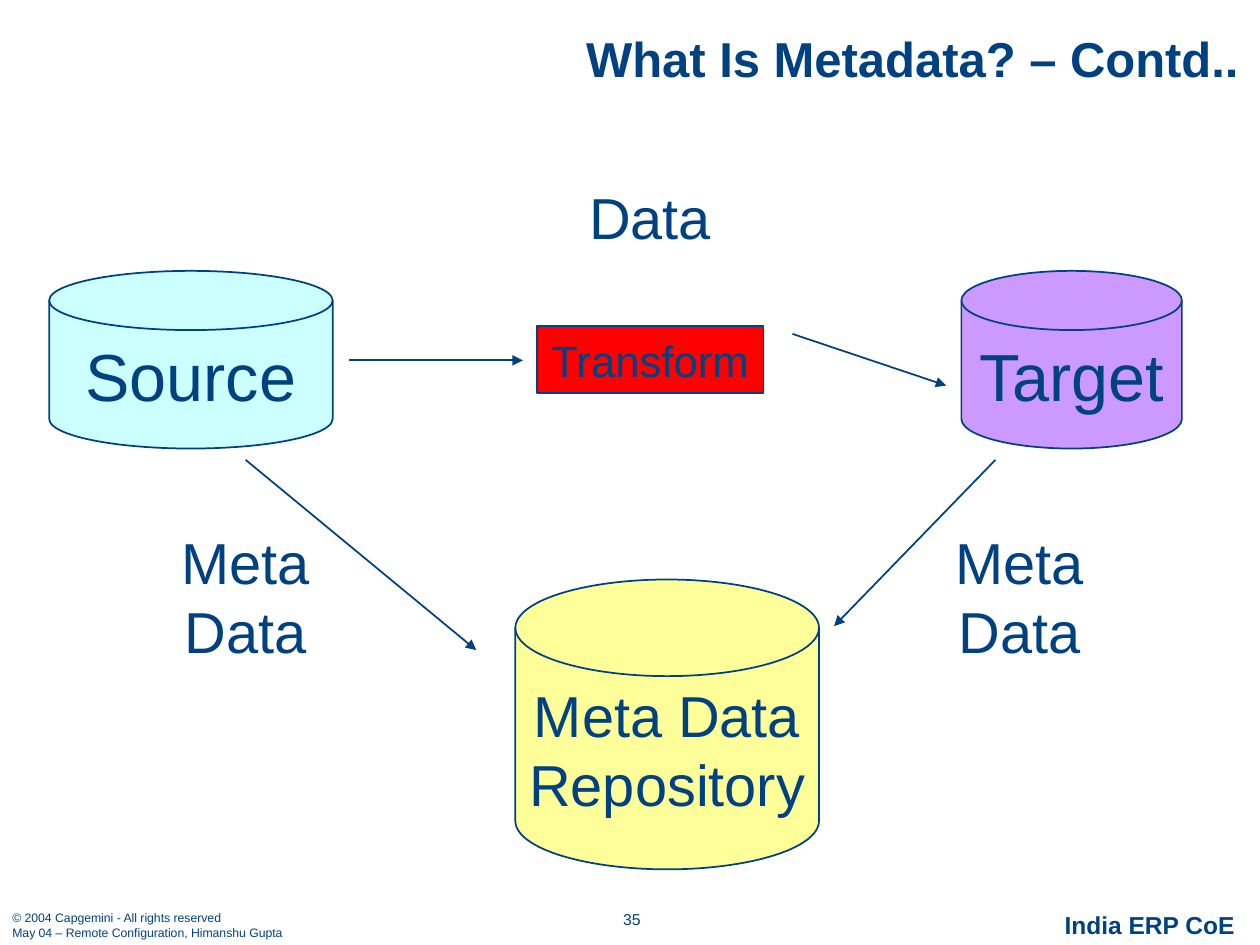
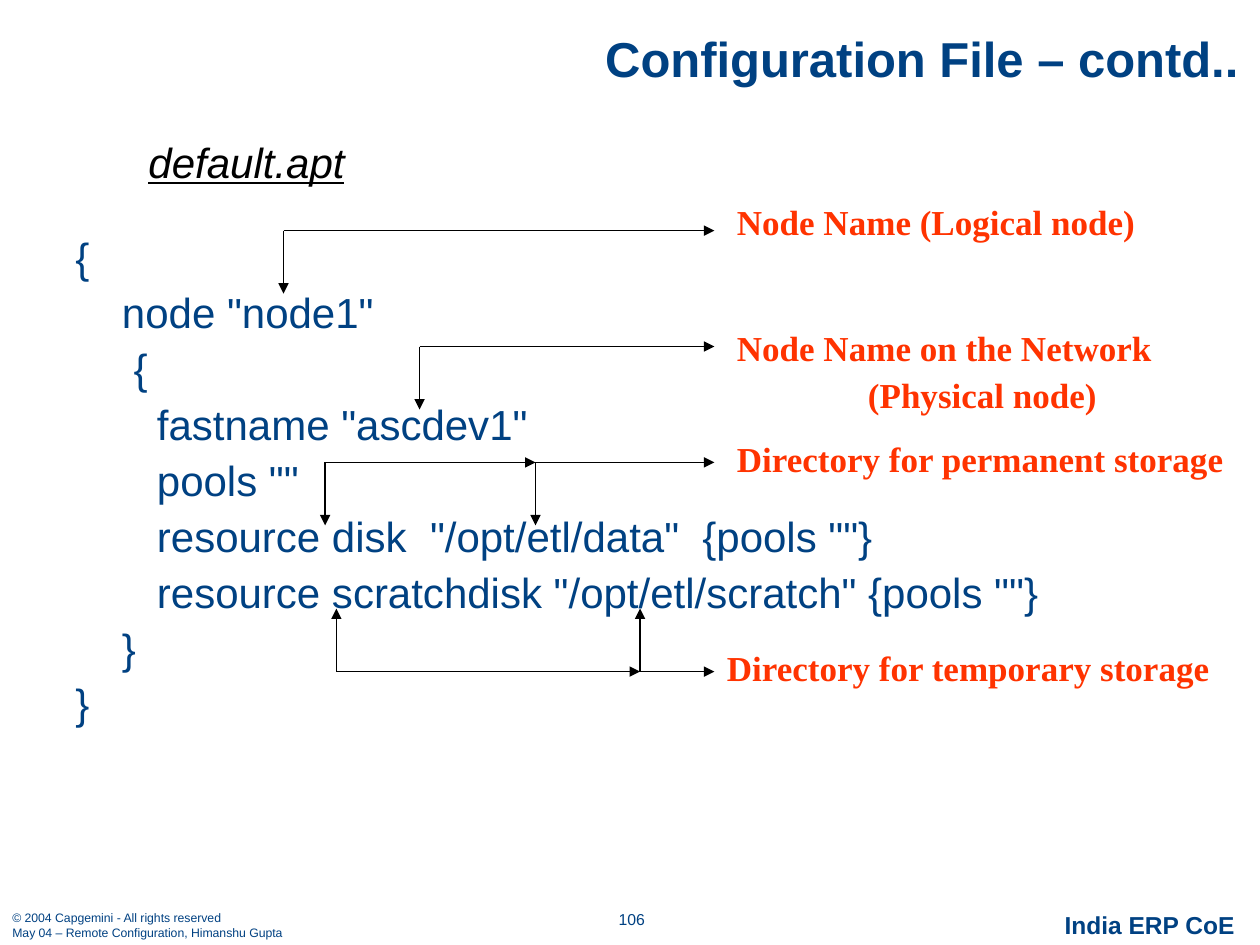
from lxml import etree
from pptx import Presentation
from pptx.dml.color import RGBColor
from pptx.enum import shapes, text
from pptx.oxml import ns
from pptx.util import Inches, Pt

# Shared colours, fonts and alignments
NAVY = RGBColor(0x00, 0x41, 0x82)
BLACK = RGBColor(0x00, 0x00, 0x00)
RED = RGBColor(0xFF, 0x00, 0x00)
ORANGE = RGBColor(0xFF, 0x33, 0x00)
AQUA = RGBColor(0xCC, 0xFF, 0xFF)
PURPLE = RGBColor(0xCC, 0x99, 0xFF)
YELLOW = RGBColor(0xFF, 0xFF, 0x99)
SANS, SERIF = "Arial", "Times New Roman"
LEFT, MID, RIGHT = (text.PP_ALIGN.LEFT, text.PP_ALIGN.CENTER,
                    text.PP_ALIGN.RIGHT)
DISK = shapes.MSO_SHAPE.FLOWCHART_MAGNETIC_DISK
RECT = shapes.MSO_SHAPE.RECTANGLE

CODE = '''{
    node "node1"
     {
       fastname "ascdev1"
       pools ""
       resource disk  "/opt/etl/data"  {pools ""}
       resource scratchdisk "/opt/etl/scratch" {pools ""}
    }
}'''
TIP = 5.67  # where the callout arrows end


def style(shape, words, size, color=NAVY, font=SANS, align=LEFT, bold=False,
          pad=(0.1, 0.05), middle=False, wrap=True, spacing=1.0, gap=0):
    """Fill a shape with text and format every run."""
    frame = shape.text_frame
    frame.text = words
    frame.word_wrap = wrap
    frame.auto_size = text.MSO_AUTO_SIZE.NONE
    frame.vertical_anchor = (text.MSO_ANCHOR.MIDDLE if middle
                             else text.MSO_ANCHOR.TOP)
    frame.margin_left = frame.margin_right = Inches(pad[0])
    frame.margin_top = frame.margin_bottom = Inches(pad[1])
    for i, para in enumerate(frame.paragraphs):
        para.alignment = align
        para.line_spacing = spacing
        para.space_before = Pt(gap if i else 0)
        for run in para.runs:
            run.font.name = font
            run.font.size = Pt(size)
            run.font.bold = bold
            run.font.color.rgb = color
    return frame


def label(slide, box, words, size, **look):
    """Place a text box."""
    shape = slide.shapes.add_textbox(*map(Inches, box))
    return style(shape, words, size, **look)


def block(slide, kind, box, fill, words, size, wrap=False):
    """Place a filled, outlined shape with centred text."""
    shape = slide.shapes.add_shape(kind, *map(Inches, box))
    shape.shadow.inherit = False
    shape.fill.solid()
    shape.fill.fore_color.rgb = fill
    shape.line.color.rgb = NAVY
    shape.line.width = Pt(1)
    style(shape, words, size, align=MID, pad=(0.11, 0.06), middle=True,
          wrap=wrap)


def arrow(slide, start, end, color=NAVY, width=1):
    """Draw a straight arrow from start to end."""
    line = slide.shapes.add_connector(
        shapes.MSO_CONNECTOR.STRAIGHT, *map(Inches, (*start, *end)))
    line.line.color.rgb = color
    line.line.width = Pt(width)
    etree.SubElement(line.line._get_or_add_ln(), ns.qn("a:tailEnd"),
                     type="triangle")
    etree.SubElement(line._element.spPr, ns.qn("a:effectLst"))


def branch(slide, feet, rail, code):
    """Run a rail to the callout, with an arrow from each foot to the code."""
    for foot, stop in zip(feet, feet[1:] + [TIP]):
        arrow(slide, (foot, rail), (foot, code), BLACK, 0.75)
        arrow(slide, (foot, rail), (stop, rail), BLACK, 0.75)


def callout(slide, box, words, spacing=1.0):
    """Place an orange serif note."""
    return label(slide, box, words, 20, color=ORANGE, font=SERIF, bold=True,
                 spacing=spacing, gap=5)


def page(deck, title, number):
    """Add a slide with the shared title and footer."""
    slide = deck.slides.add_slide(deck.slide_layouts.get_by_name("Title Only"))
    head = slide.shapes.title
    head.left, head.top, head.width, head.height = map(
        Inches, (2.4, 0, 7.55, 0.99))
    style(head, title, 28, align=RIGHT, bold=True, pad=(0.12, 0.04),
          middle=True, spacing=0.85)
    label(slide, (0, 7.18, 3.17, 0.32),
          "© 2004 Capgemini - All rights reserved\n"
          "May 04 – Remote Configuration, Himanshu Gupta", 7, middle=True)
    label(slide, (4.63, 7.19, 0.77, 0.23), number, 9, align=MID, spacing=0.85)
    label(slide, (5.38, 7.21, 4.62, 0.3), "India ERP CoE", 14, align=RIGHT,
          bold=True, pad=(0.2, 0.05), middle=True, spacing=0.85)
    return slide


def metadata(deck):
    slide = page(deck, "What Is Metadata? – Contd..", "35")
    # Stores and the transform step
    block(slide, DISK, (7.63, 2.15, 1.75, 1.41), PURPLE, "Target", 38)
    block(slide, DISK, (0.39, 2.15, 2.25, 1.41), AQUA, "Source", 38, wrap=True)
    block(slide, RECT, (4.26, 2.59, 1.8, 0.53), RED, "Transform", 25)
    block(slide, DISK, (4.09, 4.6, 2.41, 2.3), YELLOW,
          "Meta Data\nRepository", 33)
    # Flows
    for start, end in (((2.77, 2.86), (4.15, 2.86)),
                       ((6.29, 2.65), (7.51, 3.06)),
                       ((1.95, 3.65), (3.78, 5.16)),
                       ((7.9, 3.65), (6.62, 4.97))):
        arrow(slide, start, end)
    # Flow names
    for box, words in (((4.06, 1.38, 2.2, 0.66), "Data"),
                       ((7.08, 4.12, 2.02, 1.21), "Meta Data"),
                       ((0.94, 4.12, 2.02, 1.21), "Meta Data")):
        label(slide, box, words, 33, align=MID, pad=(0.11, 0.06))


def config(deck):
    slide = page(deck, "Configuration File – contd..", "106")
    # File name and its code
    label(slide, (0.5, 1.83, 9.08, 4.9), CODE, 24, spacing=0.9, gap=6)
    name = label(slide, (1.08, 1.08, 2.08, 0.46), "default.apt", 24,
                 color=BLACK, spacing=0.9)
    font = name.paragraphs[0].runs[0].font
    font.italic = font.underline = True
    # Arrows between code and notes
    branch(slide, [2.25], 1.83, 2.33)
    branch(slide, [3.33], 2.75, 3.25)
    branch(slide, [2.58, 4.25], 3.67, 4.17)
    branch(slide, [2.67, 5.08], 5.33, 4.83)
    # Notes
    callout(slide, (5.75, 1.58, 3.42, 0.4), "Node Name (Logical node)", 0.9)
    note = callout(slide, (5.75, 2.58, 3.58, 0.77),
                   "Node Name on the Network\n(Physical node)", 0.9)
    indent = note.paragraphs[1]._p.get_or_add_pPr()
    indent.set("marL", str(Inches(1.04)))
    callout(slide, (5.75, 3.42, 4.08, 0.44), "Directory for permanent storage")
    callout(slide, (5.67, 5.08, 4.08, 0.44), "Directory for temporary storage")


def main():
    deck = Presentation()
    deck.slide_width, deck.slide_height = Inches(10), Inches(7.5)
    metadata(deck)
    config(deck)
    deck.save("out.pptx")


if __name__ == "__main__":
    main()
